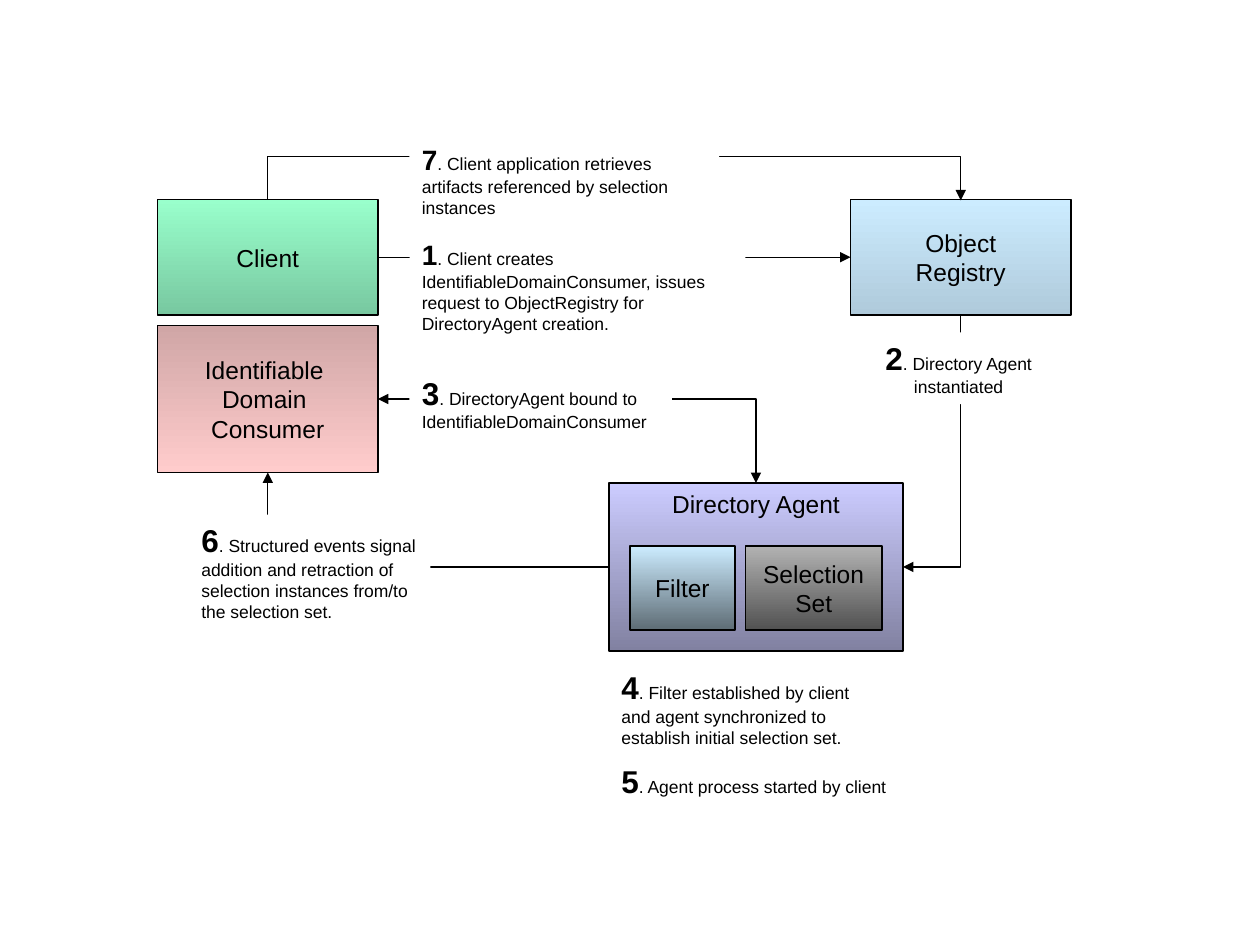
from lxml import etree
from pptx import Presentation
from pptx.dml import color
from pptx.enum import shapes, text
from pptx.oxml import ns
from pptx.util import Pt

COLORS = {
    "ink": "000000",
    "paper": "FFFFFF",
    "agent": ("CCCCFF", "8181A1"),
    "directory": ("CCECFF", "AFCADB"),
    "consumer": ("D0A6A6", "FFCCCC"),
    "filter": ("CCECFF", "5E6C75"),
    "selection": ("B2B2B2", "525252"),
    "client": ("99FFCC", "78C8A0"),
}


class Diagram:
    font = "Arial"
    line_width = 0.75
    label_size = 14
    body_size = 10

    def __init__(self, slide):
        self.s = slide

    def paint(self, target, value):
        target.rgb = color.RGBColor.from_string(value)

    def style(self, r, size, bold=False):
        r.font.name = self.font
        r.font.size = Pt(size)
        r.font.bold = bold
        self.paint(r.font.color, COLORS["ink"])

    def size_breaks(self, p, size):
        for br in p._p.findall(ns.qn("a:br")):
            etree.SubElement(br, ns.qn("a:rPr"), sz=str(size * 100))

    def outline(self, line):
        line.fill.solid()
        self.paint(line.fill.fore_color, COLORS["ink"])
        line.width = Pt(self.line_width)

    def box(self, label, x, y, w, h, fill, anchor=text.MSO_ANCHOR.MIDDLE):
        sp = self.s.shapes.add_shape(
            shapes.MSO_SHAPE.RECTANGLE, Pt(x), Pt(y), Pt(w), Pt(h))
        sp.shadow.inherit = False
        sp.fill.gradient()
        sp.fill.gradient_angle = 270
        for stop, value, position in zip(sp.fill.gradient_stops, COLORS[fill], (0, 1)):
            self.paint(stop.color, value)
            stop.position = position
        self.outline(sp.line)
        tf = sp.text_frame
        tf.word_wrap = False
        tf.vertical_anchor = anchor
        p = tf.paragraphs[0]
        p.text = label
        p.alignment = text.PP_ALIGN.CENTER
        for r in p.runs:
            self.style(r, self.label_size)
        self.size_breaks(p, self.label_size)

    def note(self, number, body, x, y, w, h, size=18, filled=True,
             align=text.PP_ALIGN.LEFT):
        sp = self.s.shapes.add_textbox(Pt(x), Pt(y), Pt(w), Pt(h))
        if filled:
            sp.fill.solid()
            self.paint(sp.fill.fore_color, COLORS["paper"])
        tf = sp.text_frame
        tf.word_wrap = True
        tf.auto_size = text.MSO_AUTO_SIZE.SHAPE_TO_FIT_TEXT
        p = tf.paragraphs[0]
        p.text = number
        p.alignment = align
        self.style(p.runs[0], size, bold=True)
        for i, part in enumerate(f". {body}".split("\n")):
            if i:
                p.add_line_break()
            r = p.add_run()
            r.text = part
            self.style(r, self.body_size)
        self.size_breaks(p, self.body_size)

    def arrow(self, start, end, preset="bentConnector2", turn=0, flip=False,
              adjust=None, both=False):
        (x1, y1), (x2, y2) = start, end
        w, h = abs(x2 - x1), abs(y2 - y1)
        if turn % 180:
            w, h = h, w
        left, top = (x1 + x2 - w) / 2, (y1 + y2 - h) / 2
        c = self.s.shapes.add_connector(
            shapes.MSO_CONNECTOR.STRAIGHT,
            Pt(left), Pt(top), Pt(left + w), Pt(top + h))
        self.outline(c.line)
        pr = c._element.spPr
        xfrm = pr.find(ns.qn("a:xfrm"))
        if turn:
            xfrm.set("rot", str(turn * 60000))
        if flip:
            xfrm.set("flipH", "1")
        geom = pr.find(ns.qn("a:prstGeom"))
        geom.set("prst", preset)
        if adjust is not None:
            guides = geom.find(ns.qn("a:avLst"))
            etree.SubElement(guides, ns.qn("a:gd"), name="adj1",
                             fmla=f"val {round(adjust * 100000)}")
        ln = pr.find(ns.qn("a:ln"))
        for end_name in ("headEnd", "tailEnd") if both else ("tailEnd",):
            etree.SubElement(ln, ns.qn(f"a:{end_name}"), type="triangle")
        etree.SubElement(pr, ns.qn("a:effectLst"))


def main():
    prs = Presentation()
    prs.slide_width, prs.slide_height = Pt(720), Pt(540)
    d = Diagram(prs.slides.add_slide(prs.slide_layouts[6]))

    d.box("Directory Agent", 348, 276, 168, 96, "agent", text.MSO_ANCHOR.TOP)
    d.box("Object\nRegistry", 486, 114, 126, 66, "directory")
    d.box("Identifiable \nDomain \nConsumer", 90, 186, 126, 84, "consumer")
    d.box("Client", 90, 114, 126, 66, "client")
    d.box("Filter", 360, 312, 60, 48, "filter")
    d.box("Selection\nSet", 426, 312, 78, 48, "selection")

    d.arrow((216, 228), (432, 276), both=True)
    d.arrow((348, 324), (153, 270), turn=180)
    d.arrow((549, 180), (516, 324), turn=90)
    d.arrow((216, 147), (486, 147), preset="straightConnector1")
    d.arrow((153, 114), (549, 114.5), preset="bentConnector3", turn=270,
            flip=True, adjust=-48)

    d.note("2", "Directory Agent\ninstantiated", 474, 190, 147.5, 41,
           align=text.PP_ALIGN.CENTER)
    d.note("4", "Filter established by client and agent synchronized to "
           "establish initial selection set.", 348, 378, 147.5, 53.5, filled=False)
    d.note("6", "Structured events signal addition and retraction of selection "
           "instances from/to the selection set.", 108, 294, 138, 65)
    d.note("1", "Client creates IdentifiableDomainConsumer, issues request to "
           "ObjectRegistry for DirectoryAgent creation.", 234, 132, 192, 62.5, size=16)
    d.note("3", "DirectoryAgent bound to IdentifiableDomainConsumer",
           234, 210, 150, 41)
    d.note("5", "Agent process started by client", 348, 432, 174, 29, filled=False)
    d.note("7", "Client application retrieves artifacts referenced by selection "
           "instances", 234, 78, 177, 50.5, size=16)

    prs.save("out.pptx")


if __name__ == "__main__":
    main()
